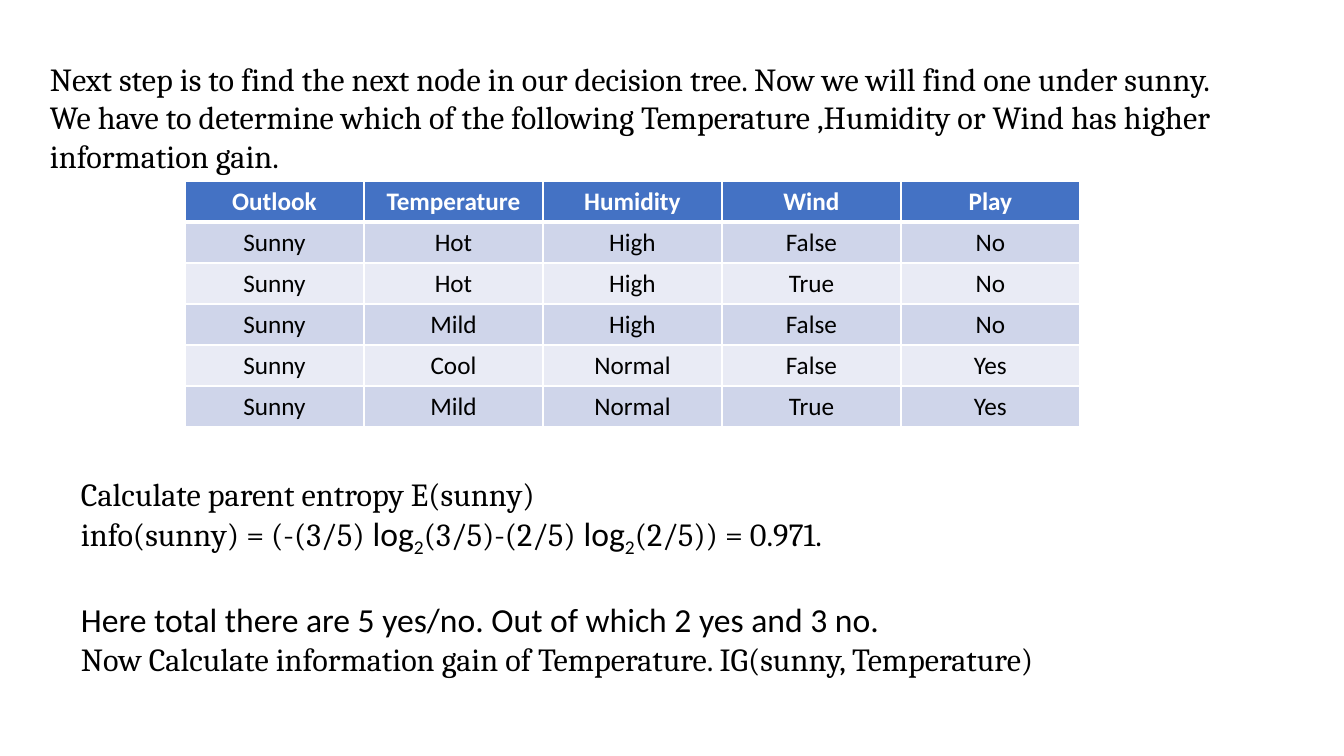
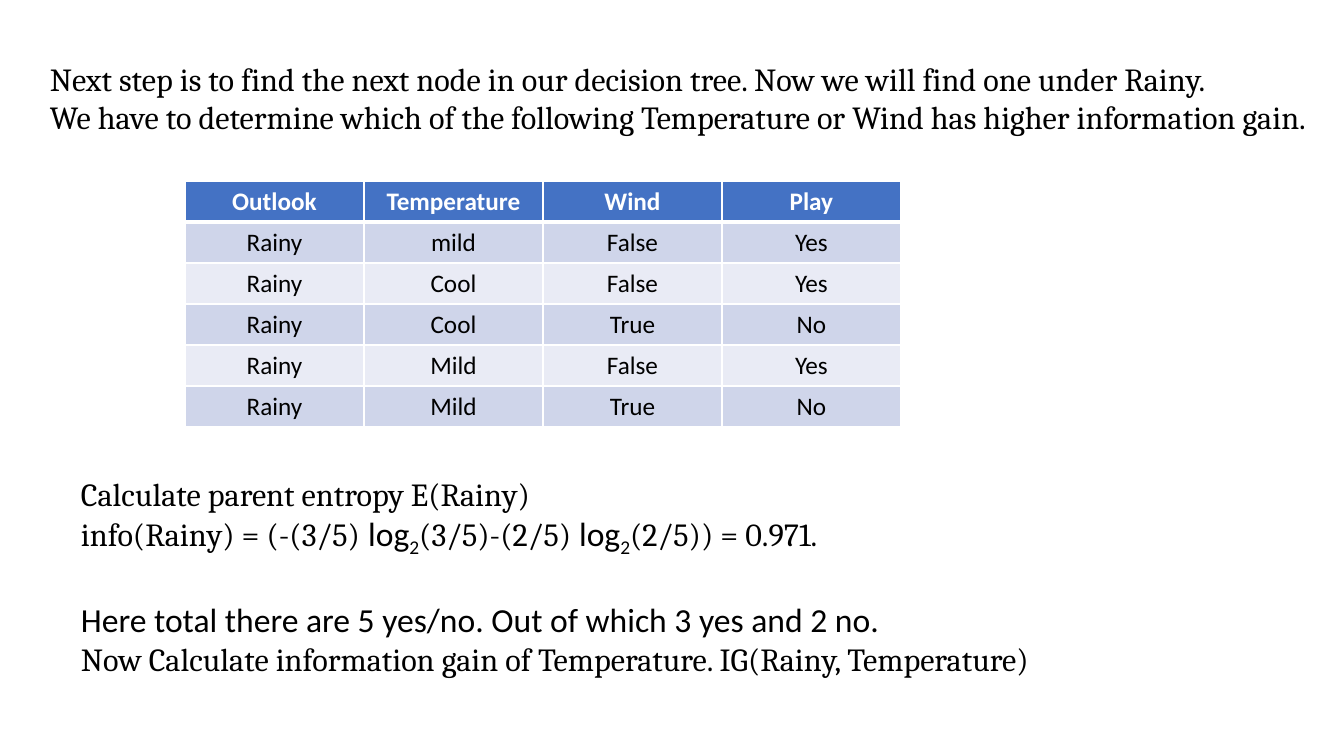
"""Build two slides on choosing the next decision tree node."""
from lxml import etree
from pptx import Presentation
from pptx import util as u
from pptx.dml import color
from pptx.enum import text
from pptx.oxml import ns

SCALE = 914400 / 100.8
SLIDE_SIZE = (1344, 756)
INTRO_AT = (40, 54)
TABLE_AT = (185, 181)
COLUMN_WIDTH, ROW_HEIGHT = 179, 41
WORKING_BOX = (71, 469, 1081, 211)
GAP_BEFORE = u.Pt(29)

BLACK, WHITE, HEADER_FILL = "000000", "FFFFFF", "4472C4"
BAND_FILLS = ("CFD5EA", "E9EBF5")
THIN, THICK = u.Pt(1), u.Pt(3)

SERIF = {"name": "Cambria", "size": u.Pt(23)}
SANS = {"name": "Calibri", "size": u.Pt(24)}
CELL = {"name": "Calibri", "size": u.Pt(18)}

SLIDES = [
    {
        "outlook": "sunny",
        "intro_size": (1183, 127),
        "candidates": "Temperature ,Humidity or Wind",
        "counts": "2 yes and 3 no",
        "rows": [
            ("Outlook", "Temperature", "Humidity", "Wind", "Play"),
            ("Sunny", "Hot", "High", "False", "No"),
            ("Sunny", "Hot", "High", "True", "No"),
            ("Sunny", "Mild", "High", "False", "No"),
            ("Sunny", "Cool", "Normal", "False", "Yes"),
            ("Sunny", "Mild", "Normal", "True", "Yes"),
        ],
    },
    {
        "outlook": "Rainy",
        "intro_size": (1282, 89),
        "candidates": "Temperature or Wind",
        "counts": "3 yes and 2 no",
        "rows": [
            ("Outlook", "Temperature", "Wind", "Play"),
            ("Rainy", "mild", "False", "Yes"),
            ("Rainy", "Cool", "False", "Yes"),
            ("Rainy", "Cool", "True", "No"),
            ("Rainy", "Mild", "False", "Yes"),
            ("Rainy", "Mild", "True", "No"),
        ],
    },
]


def px(*values):
    return [u.Emu(round(value * SCALE)) for value in values]


def rgb(value):
    return color.RGBColor.from_string(value)


def add_run(paragraph, words, style, colour=BLACK, bold=False, subscript=False):
    run = paragraph.add_run()
    run.text = words
    for name, value in {**style, "bold": bold}.items():
        setattr(run.font, name, value)
    run.font.color.rgb = rgb(colour)
    if subscript:
        run.font._element.set("baseline", "-25000")


def add_text(slide, box, lines):
    frame = slide.shapes.add_textbox(*px(*box)).text_frame
    frame.word_wrap = True
    frame.auto_size = text.MSO_AUTO_SIZE.SHAPE_TO_FIT_TEXT
    for index, (space_before, runs) in enumerate(lines):
        paragraph = frame.add_paragraph() if index else frame.paragraphs[0]
        paragraph.space_before = space_before
        for words, style, subscript in runs:
            add_run(paragraph, words, style, subscript=subscript)


def line(words, style=SERIF, space_before=0):
    return space_before, [(words, style, False)]


def add_borders(cell, row):
    widths = {
        "lnL": THIN,
        "lnR": THIN,
        "lnT": THICK if row == 1 else THIN,
        "lnB": THICK if row == 0 else THIN,
    }
    properties = cell._tc.get_or_add_tcPr()
    for index, (side, width) in enumerate(widths.items()):
        border = etree.Element(ns.qn(f"a:{side}"), w=str(width))
        fill = etree.SubElement(border, ns.qn("a:solidFill"))
        etree.SubElement(fill, ns.qn("a:srgbClr"), val=WHITE)
        properties.insert(index, border)


def add_weather_table(slide, rows):
    size = (COLUMN_WIDTH * len(rows[0]), ROW_HEIGHT * len(rows))
    table = slide.shapes.add_table(len(rows), len(rows[0]), *px(*TABLE_AT, *size)).table
    for row, values in enumerate(rows):
        header = row == 0
        for column, value in enumerate(values):
            cell = table.cell(row, column)
            cell.fill.solid()
            cell.fill.fore_color.rgb = rgb(HEADER_FILL if header else BAND_FILLS[(row - 1) % 2])
            add_borders(cell, row)
            paragraph = cell.text_frame.paragraphs[0]
            paragraph.alignment = text.PP_ALIGN.CENTER
            add_run(paragraph, value, CELL, WHITE if header else BLACK, header)


def working_lines(outlook, counts):
    log = [(" log", SANS, False), ("2", SANS, True)]
    formula = [
        (f"info({outlook}) = (-(3/5)", SERIF, False), *log,
        ("(3/5)-(2/5)", SERIF, False), *log,
        ("(2/5)) = 0.971.", SERIF, False),
    ]
    return [
        line(f"Calculate parent entropy E({outlook})"),
        (0, formula),
        line(f"Here total there are 5 yes/no. Out of which {counts}.", SANS, GAP_BEFORE),
        line(f"Now Calculate information gain of Temperature. IG({outlook}, Temperature)"),
    ]


def add_node_slide(presentation, content):
    slide = presentation.slides.add_slide(presentation.slide_layouts[6])
    outlook = content["outlook"]
    add_text(slide, INTRO_AT + content["intro_size"], [
        line("Next step is to find the next node in our decision tree. "
             f"Now we will find one under {outlook}."),
        line(f"We have to determine which of the following {content['candidates']} "
             "has higher information gain."),
    ])
    add_weather_table(slide, content["rows"])
    add_text(slide, WORKING_BOX, working_lines(outlook, content["counts"]))


def main():
    presentation = Presentation()
    presentation.slide_width, presentation.slide_height = px(*SLIDE_SIZE)
    for content in SLIDES:
        add_node_slide(presentation, content)
    presentation.save("out.pptx")


if __name__ == "__main__":
    main()
